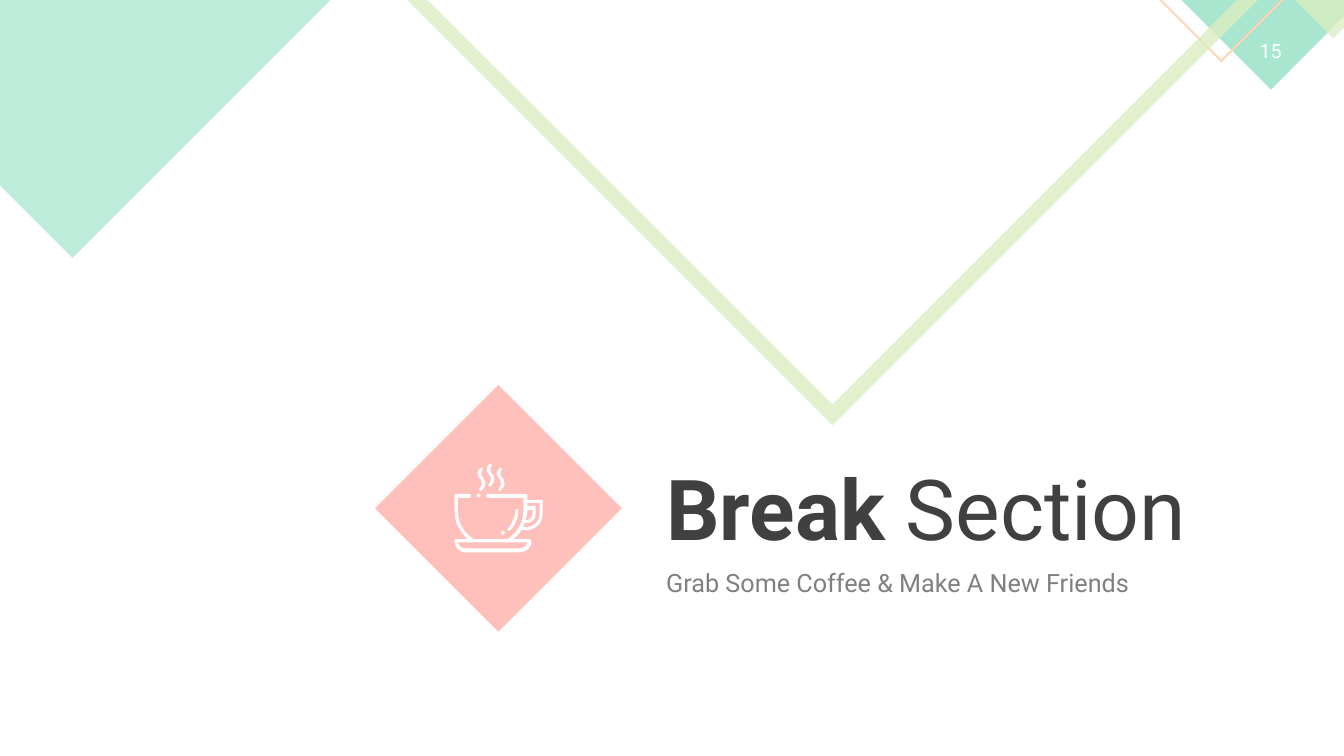
import pptx
import pptx.util
import pptx.dml.color
import pptx.enum.shapes
import pptx.enum.text
import pptx.oxml
import pptx.oxml.ns

Cm = pptx.util.Cm
ALIGN = pptx.enum.text.PP_ALIGN
SHAPE = pptx.enum.shapes.MSO_SHAPE

THEME = {
    "font": "Roboto",
    "mint": "A8E6CF", "lime": "DCEDC1", "peach": "FFD3B6", "coral": "FFAAA5",
    "white": "FFFFFF", "dark": "404040", "grey": "808080",
    "title": 60, "subtitle": 18, "number": 14,
}

# Content: text runs are (text, bold)
TITLE = [("Break", True), (" Section", False)]
SUBTITLE = [("Grab Some Coffee & Make A New Friends", False)]
PAGE_NUMBER = [("15", False)]

# Flat decorations in cm: (colour, opacity in percent, corners)
CORNER_DIAMONDS = [
    ("mint", 100, [(29.77, 0), (33.87, 0), (33.87, 0.41), (32.03, 2.26)]),
    ("peach", 100, [(29.21, 0), (29.28, 0), (30.78, 1.5), (32.28, 0),
                    (32.36, 0), (30.78, 1.57)]),
    ("lime", 75, [(32.64, 0), (33.87, 0), (33.87, 0.69), (33.6, 0.97)]),
]
BACKDROP = [
    ("lime", 80, [(31.7, 0), (31.17, 0), (20.98, 10.19), (10.77, 0),
                  (10.26, 0), (20.98, 10.72)]),
    ("mint", 75, [(8.33, 0), (0, 0), (0, 4.67), (1.83, 6.5)]),
]

# Coffee icon on an 88-unit grid: pairs are line ends, sixes are cubic curves
ICON_LEFT, ICON_TOP, ICON_SIZE, ICON_GRID = 11.46, 11.68, 2.24, 88
CUP = [
    # cup and saucer outline
    [(86, 36), (72, 36), (72, 32), (72, 31, 71, 30, 70, 30), (33, 30),
     (32, 30, 31, 31, 31, 32), (31, 33, 32, 34, 33, 34), (68, 34), (68, 47),
     (68, 58, 62, 69, 52, 75), (19, 75), (9, 69, 3, 58, 3, 47), (3, 34),
     (15, 34), (15, 34, 16, 33, 16, 32), (16, 31, 15, 30, 15, 30), (1, 30),
     (0, 30, 0, 31, 0, 32), (0, 47), (0, 53, 1, 60, 5, 65),
     (7, 69, 10, 72, 13, 75), (1, 75), (0, 75, 0, 76, 0, 77),
     (0, 83, 5, 88, 11, 88), (64, 88), (71, 88, 76, 83, 76, 77),
     (76, 76, 75, 75, 74, 75), (58, 75), (61, 72, 64, 69, 66, 66), (71, 66),
     (80, 66, 87, 59, 87, 50), (87, 37), (87, 36, 87, 36, 86, 36)],
    # saucer opening
    [(64, 84), (11, 84), (7, 84, 4, 82, 3, 78), (72, 78),
     (71, 82, 68, 84, 64, 84)],
    # handle openings
    [(72, 46), (77, 46), (77, 50), (77, 53, 74, 56, 71, 56), (70, 56),
     (71, 53, 72, 50, 72, 47)],
    [(84, 50), (84, 57, 78, 63, 71, 63), (68, 63), (68, 61, 69, 60, 69, 59),
     (71, 59), (76, 59, 80, 55, 80, 50), (80, 44), (80, 43, 80, 42, 79, 42),
     (72, 42), (72, 39), (84, 39)],
]
STEAM = [
    [(4, 12), (5, 14, 5, 17, 4, 19), (3, 20), (2, 21, 2, 22, 3, 23),
     (3, 23, 4, 23, 4, 23), (5, 23, 5, 23, 5, 22), (6, 21),
     (9, 18, 9, 13, 6, 10), (5, 9), (4, 7, 4, 5, 5, 3), (6, 2, 6, 1, 5, 1),
     (4, 0, 3, 0, 3, 1), (0, 4, 0, 8, 3, 11)],
]
GLEAM = [
    [(55, 66), (60, 61, 63, 54, 63, 47), (63, 46, 63, 45, 62, 45),
     (61, 45, 60, 46, 60, 47), (60, 53, 57, 59, 53, 64),
     (52, 65, 52, 66, 53, 66), (53, 67, 54, 67, 54, 67),
     (54, 67, 55, 67, 55, 66)],
]
STEAM_OFFSETS = [(31, 0), (41, 4), (22, 4)]
DOTS = [(22, 30), (46, 67)]
DOT_SIZE = 3.6


def rgb(colour):
    return pptx.dml.color.RGBColor.from_string(THEME[colour])


def paint(shape, colour, opacity=100):
    shape.shadow.inherit = False
    shape.line.fill.background()
    shape.fill.solid()
    shape.fill.fore_color.rgb = rgb(colour)
    if opacity < 100:
        tone = shape.fill._xPr.find(".//" + pptx.oxml.ns.qn("a:srgbClr"))
        tone.append(pptx.oxml.parse_xml(
            f'<a:alpha {pptx.oxml.ns.nsdecls("a")} val="{opacity * 1000}"/>'))


def flatten(outline, steps=6):
    """Turn lines and cubic curves into plain points."""
    points = [outline[0]]
    for part in outline[1:]:
        if len(part) == 2:
            points.append(part)
            continue
        ends = [points[-1], part[:2], part[2:4], part[4:]]
        for step in range(1, steps + 1):
            t = step / steps
            weights = ((1 - t) ** 3, 3 * t * (1 - t) ** 2, 3 * t * t * (1 - t), t ** 3)
            points.append(tuple(sum(w * end[axis] for w, end in zip(weights, ends))
                                for axis in (0, 1)))
    return points


def add_outline(shapes, outlines, colour, opacity=100, left=0, top=0, unit=1):
    contours = [[(Cm(left + x * unit), Cm(top + y * unit)) for x, y in flatten(outline)]
                for outline in outlines]
    builder = shapes.build_freeform(*contours[0][0], scale=1.0)
    builder.add_line_segments(contours[0][1:], close=True)
    for contour in contours[1:]:
        builder.move_to(*contour[0])
        builder.add_line_segments(contour[1:], close=True)
    paint(builder.convert_to_shape(), colour, opacity)


def add_text(shapes, runs, box, size, colour, align=ALIGN.LEFT, wrap=True):
    frame = shapes.add_textbox(*map(Cm, box)).text_frame
    frame.word_wrap = wrap
    paragraph = frame.paragraphs[0]
    paragraph.alignment = align
    for text, bold in runs:
        run = paragraph.add_run()
        run.text = text
        run.font.name = THEME["font"]
        run.font.size = pptx.util.Pt(THEME[size])
        run.font.bold = bold
        run.font.color.rgb = rgb(colour)


def main():
    deck = pptx.Presentation()
    deck.slide_width, deck.slide_height = Cm(33.87), Cm(19.05)
    shapes = deck.slides.add_slide(deck.slide_layouts[6]).shapes

    # Page number corner
    corner = shapes.add_group_shape().shapes
    for colour, opacity, points in CORNER_DIAMONDS:
        add_outline(corner, [points], colour, opacity)
    add_text(shapes, PAGE_NUMBER, (31.32, 0.86, 1.4, 0.86), "number", "white",
             align=ALIGN.CENTER, wrap=False)

    # Backdrop and coral diamond
    for colour, opacity, points in BACKDROP:
        add_outline(shapes, [points], colour, opacity)
    badge = shapes.add_shape(SHAPE.DIAMOND, Cm(9.45), Cm(9.7), Cm(6.22), Cm(6.22))
    paint(badge, "coral", 75)

    # Headline
    add_text(shapes, TITLE, (16.54, 11.38, 13.72, 2.82), "title", "dark", wrap=False)
    add_text(shapes, SUBTITLE, (16.54, 14.17, 12.17, 1.02), "subtitle", "grey")

    # Coffee icon
    icon = shapes.add_group_shape().shapes
    unit = ICON_SIZE / ICON_GRID
    parts = [(CUP, 0, 0), *((STEAM, x, y) for x, y in STEAM_OFFSETS), (GLEAM, 0, 0)]
    for outlines, x, y in parts:
        add_outline(icon, outlines, "white", left=ICON_LEFT + x * unit,
                    top=ICON_TOP + y * unit, unit=unit)
    for x, y in DOTS:
        dot = icon.add_shape(SHAPE.OVAL, Cm(ICON_LEFT + x * unit), Cm(ICON_TOP + y * unit),
                             Cm(DOT_SIZE * unit), Cm(DOT_SIZE * unit))
        paint(dot, "white")

    deck.save("out.pptx")


if __name__ == "__main__":
    main()
